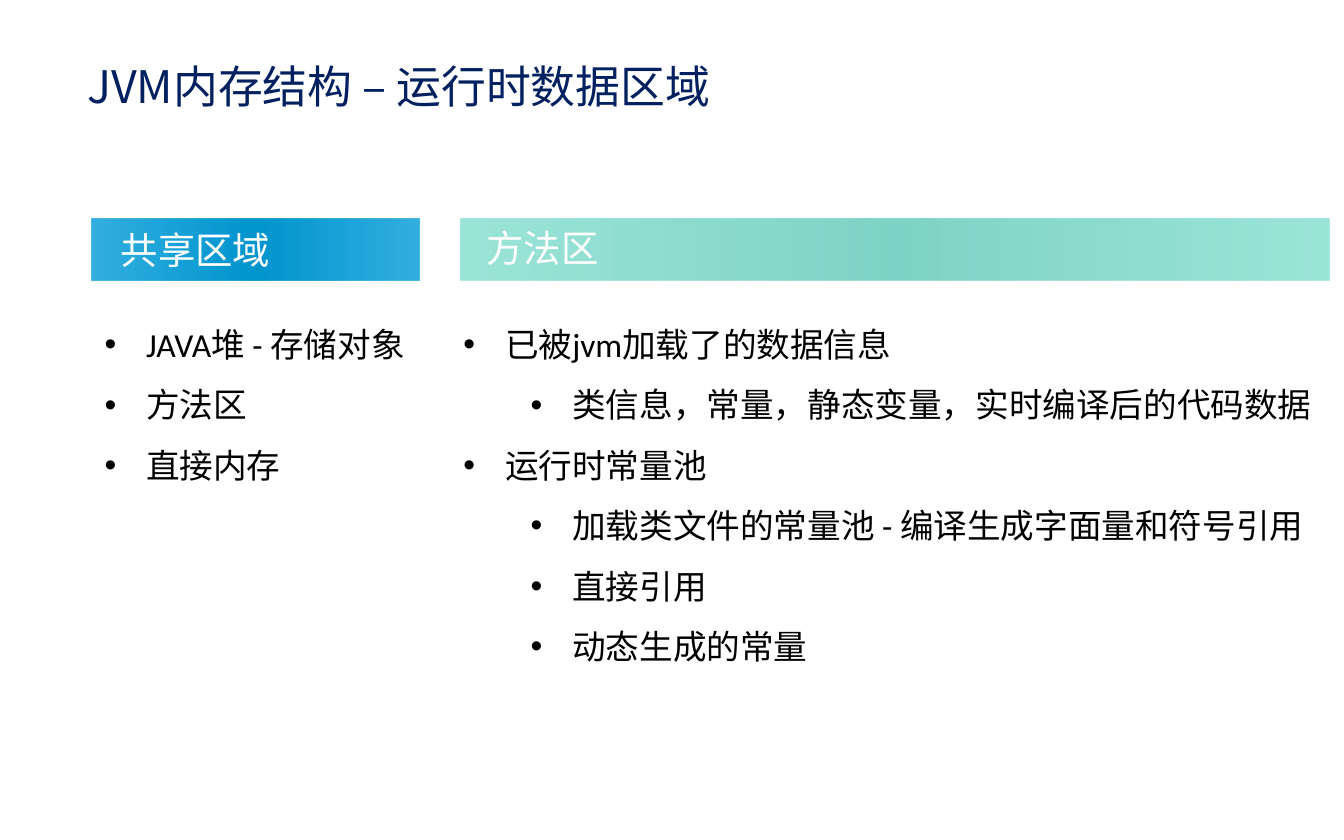
"""Build the slide on the JVM runtime data areas."""
from dataclasses import dataclass

from pptx import Presentation
from pptx.dml.color import RGBColor
from pptx.enum import shapes, text
from pptx.oxml import parse_xml
from pptx.oxml.ns import nsdecls
from pptx.util import Inches, Pt

NAVY = RGBColor(0x00, 0x20, 0x60)
BLACK = RGBColor(0x00, 0x00, 0x00)
WHITE = RGBColor(0xFF, 0xFF, 0xFF)
BLUE = RGBColor(0x00, 0x9D, 0xD9)
DEEP_BLUE = RGBColor(0x00, 0x95, 0xCE)
MINT = RGBColor(0x85, 0xDF, 0xD0)
DEEP_MINT = RGBColor(0x7E, 0xD4, 0xC6)

BAR_TOP, BAR_HEIGHT = 1.63, 0.46
LIST_TOP = 2.21
HANGING = 0.31
LEVEL_STEP = 0.5


@dataclass(frozen=True)
class Box:
    left: float
    top: float
    width: float
    height: float

    def lengths(self) -> tuple:
        return tuple(Inches(n) for n in (self.left, self.top, self.width, self.height))


@dataclass(frozen=True)
class Item:
    wording: str
    level: int = 0


@dataclass(frozen=True)
class Column:
    heading: str
    bar: Box
    edge: RGBColor
    middle: RGBColor
    heading_box: Box
    list_box: Box
    items: tuple[Item, ...]


COLUMNS = (
    Column(
        "共享区域", Box(0.68, BAR_TOP, 2.44, BAR_HEIGHT), BLUE, DEEP_BLUE,
        Box(0.8, 1.64, 2.2, 0.44), Box(0.68, LIST_TOP, 2.44, 1.46),
        (Item("JAVA堆 - 存储对象"), Item("方法区"), Item("直接内存")),
    ),
    Column(
        "方法区", Box(3.43, BAR_TOP, 6.46, BAR_HEIGHT), MINT, DEEP_MINT,
        Box(3.52, BAR_TOP, 2.47, 0.44), Box(3.35, LIST_TOP, 6.54, 2.83),
        (
            Item("已被jvm加载了的数据信息"),
            Item("类信息，常量，静态变量，实时编译后的代码数据", 1),
            Item("运行时常量池"),
            Item("加载类文件的常量池 - 编译生成字面量和符号引用", 1),
            Item("直接引用", 1),
            Item("动态生成的常量", 1),
        ),
    ),
)


def add_frame(slide, box: Box, wrap: bool = True):
    frame = slide.shapes.add_textbox(*box.lengths()).text_frame
    frame.word_wrap = wrap
    frame.auto_size = text.MSO_AUTO_SIZE.SHAPE_TO_FIT_TEXT
    return frame


def style(paragraph, face: str, size: int, color: RGBColor) -> None:
    font = paragraph.font
    font.name, font.size = face, Pt(size)
    font.color.rgb = color


def add_title(slide, wording: str) -> None:
    title = add_frame(slide, Box(0.55, 0.39, 4.98, 0.5), wrap=False).paragraphs[0]
    title.text = wording
    style(title, "Noto Sans CJK SC", 24, NAVY)


def add_bar(slide, column: Column) -> None:
    bar = slide.shapes.add_shape(shapes.MSO_SHAPE.RECTANGLE, *column.bar.lengths())
    bar.shadow.inherit = False
    bar.line.fill.background()
    bar.fill.gradient()
    bar.fill.gradient_angle = 0
    stops = bar.fill.gradient_stops
    stop_list = bar._element.spPr.find(".//{*}gsLst")
    for stop in list(stop_list):
        stop_list.remove(stop)
    for position, color, alpha in (
        (0, column.edge, 80), (50, column.middle, 100), (100, column.edge, 80)
    ):
        stop_list.append(parse_xml(
            f'<a:gs {nsdecls("a")} pos="{position * 1000}"><a:srgbClr val="{color}">'
            f'<a:alpha val="{alpha * 1000}"/></a:srgbClr></a:gs>'
        ))


def add_heading(slide, column: Column) -> None:
    heading = add_frame(slide, column.heading_box).paragraphs[0]
    run = heading.add_run()
    run.text = column.heading
    style(heading, "Arial", 20, WHITE)
    run._r.get_or_add_rPr().append(parse_xml(
        f'<a:effectLst {nsdecls("a")}><a:outerShdw blurRad="38100" dist="38100" dir="2700000">'
        '<a:srgbClr val="000000"><a:alpha val="43000"/></a:srgbClr></a:outerShdw></a:effectLst>'
    ))


def add_list(slide, column: Column) -> None:
    frame = add_frame(slide, column.list_box)
    for index, item in enumerate(column.items):
        entry = frame.add_paragraph() if index else frame.paragraphs[0]
        entry.text = item.wording
        entry.level = item.level
        properties = entry._p.get_or_add_pPr()
        properties.set("marL", str(Inches(HANGING + item.level * LEVEL_STEP)))
        properties.set("indent", str(-Inches(HANGING)))
        properties.append(parse_xml(f'<a:buFont {nsdecls("a")} typeface="Arial"/>'))
        properties.append(parse_xml(f'<a:buChar {nsdecls("a")} char="•"/>'))
        entry.line_spacing = 1.5
        style(entry, "Calibri", 18, BLACK)


def main() -> None:
    deck = Presentation()
    deck.slide_width, deck.slide_height = Inches(10), Inches(6.25)
    slide = deck.slides.add_slide(deck.slide_layouts[6])
    add_title(slide, "JVM内存结构 – 运行时数据区域")
    for column in COLUMNS:
        add_list(slide, column)
        add_bar(slide, column)
        add_heading(slide, column)
    deck.save("out.pptx")


if __name__ == "__main__":
    main()
